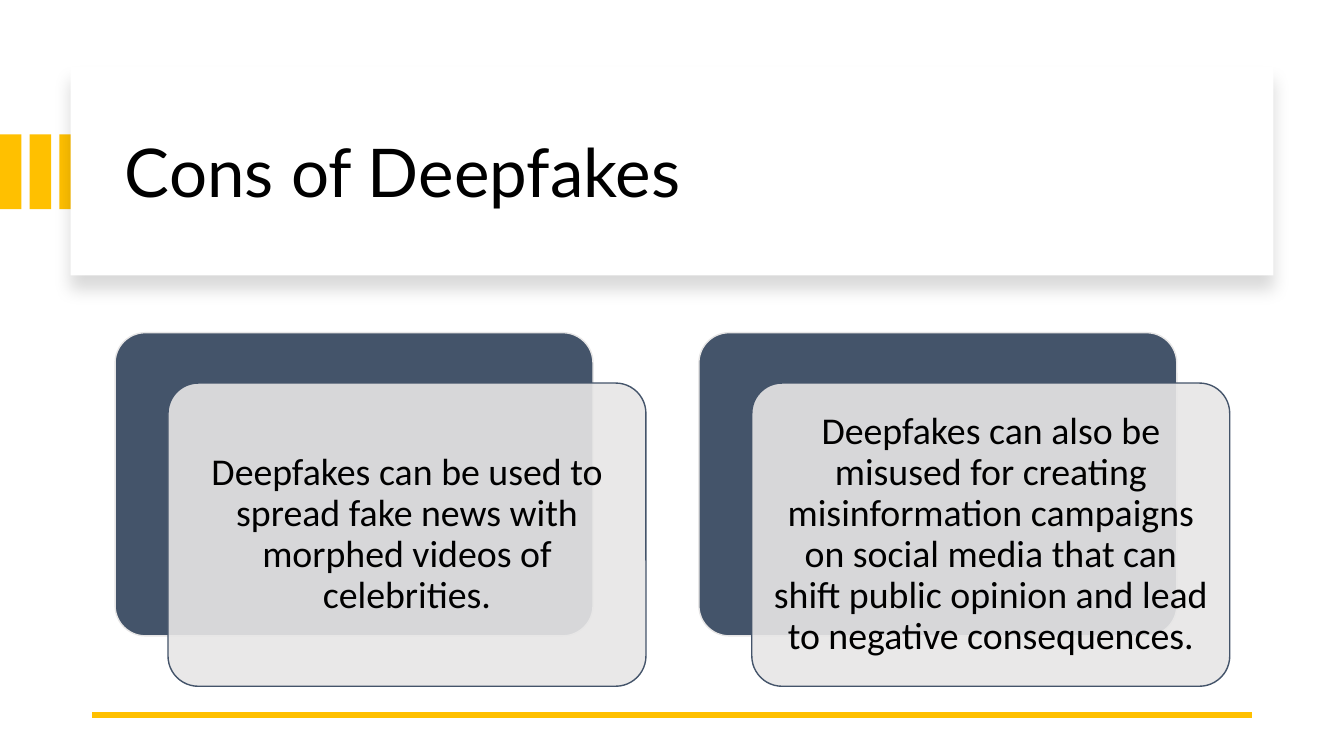
"""Build the slide on the cons of deepfakes."""
from lxml.etree import SubElement
from pptx import Presentation
from pptx.dml.color import RGBColor
from pptx.enum.shapes import MSO_CONNECTOR, MSO_SHAPE
from pptx.enum.text import MSO_ANCHOR, PP_ALIGN
from pptx.oxml import parse_xml
from pptx.oxml.ns import nsdecls, qn
from pptx.util import Inches, Pt

GOLD = RGBColor(0xFF, 0xC0, 0x00)
NAVY = RGBColor(0x44, 0x54, 0x6A)
PALE = RGBColor(0xE7, 0xE6, 0xE6)
WHITE = RGBColor(0xFF, 0xFF, 0xFF)
BLACK = RGBColor(0x00, 0x00, 0x00)

COLS, ROWS = 160, 90
CARD_W, CARD_H = 56.9, 36.1
SHADOW = (
    f'<a:effectLst {nsdecls("a")}>'
    '<a:outerShdw blurRad="139700" dist="127000" dir="5400000" algn="t" rotWithShape="0">'
    '<a:srgbClr val="000000"><a:alpha val="15000"/></a:srgbClr>'
    '</a:outerShdw></a:effectLst>'
)
CONS = (
    "Deepfakes can be used to spread fake news with morphed videos of celebrities.",
    "Deepfakes can also be misused for creating misinformation campaigns on social "
    "media that can shift public opinion and lead to negative consequences.",
)


class SlideBuilder:
    def __init__(self, prs):
        self.col = prs.slide_width / COLS
        self.row = prs.slide_height / ROWS
        self.shapes = prs.slides.add_slide(prs.slide_layouts[6]).shapes

    def at(self, x, y, w, h):
        return (round(x * self.col), round(y * self.row),
                round(w * self.col), round(h * self.row))

    def box(self, x, y, w, h, fill, line=None, kind=MSO_SHAPE.RECTANGLE):
        sp = self.shapes.add_shape(kind, *self.at(x, y, w, h))
        sp.shadow.inherit = False
        sp.fill.solid()
        sp.fill.fore_color.rgb = fill
        if line is None:
            sp.line.fill.background()
        else:
            sp.line.color.rgb = line
            sp.line.width = Pt(1)
        return sp

    def panel(self, x, y, w, h):
        sp = self.box(x, y, w, h, WHITE)
        pr = sp._element.spPr
        pr.replace(pr.find(qn("a:effectLst")), parse_xml(SHADOW))

    def round_box(self, x, y, fill, line, alpha=None):
        sp = self.box(x, y, CARD_W, CARD_H, fill, line, MSO_SHAPE.ROUNDED_RECTANGLE)
        sp.adjustments[0] = 0.1
        if alpha is not None:
            clr = sp._element.spPr.find(qn("a:solidFill"))[0]
            SubElement(clr, qn("a:alpha")).set("val", str(alpha * 1000))

    def text(self, x, y, w, h, text, font, size, align=PP_ALIGN.LEFT, inset=None):
        tf = self.shapes.add_textbox(*self.at(x, y, w, h)).text_frame
        tf.word_wrap = True
        tf.vertical_anchor = MSO_ANCHOR.MIDDLE
        if inset is not None:
            tf.margin_left = tf.margin_right = Inches(inset)
            tf.margin_top = tf.margin_bottom = Inches(inset)
        p = tf.paragraphs[0]
        p.alignment = align
        p.line_spacing = 0.9
        r = p.add_run()
        r.text = text
        r.font.name = font
        r.font.size = Pt(size)
        r.font.color.rgb = BLACK

    def rule(self, x1, x2, y):
        x, y, w, _ = self.at(x1, y, x2 - x1, 0)
        cx = self.shapes.add_connector(MSO_CONNECTOR.STRAIGHT, x, y, x + w, y)
        cx.line.color.rgb = GOLD
        cx.line.width = Pt(4.5)
        SubElement(cx._element.spPr, qn("a:effectLst"))

    def card(self, x, y, text):
        self.round_box(x, y, NAVY, PALE)
        x, y = x + 6.3, y + 6
        self.round_box(x, y, PALE, NAVY, alpha=90)
        pad = 1.1
        self.text(x + pad, y + pad, CARD_W - 2 * pad, CARD_H - 2 * pad, text,
                  "Calibri", 27, PP_ALIGN.CENTER, 0.11)


def main():
    prs = Presentation()
    prs.slide_width, prs.slide_height = Inches(13.33), Inches(7.5)
    s = SlideBuilder(prs)
    for i in range(3):
        s.box(i * 3.54, 16, 2.55, 8.9, GOLD)
    s.panel(8.4, 8, 143.2, 24.8)
    s.text(13.7, 10.7, 133.6, 20.4, "Cons of Deepfakes", "Lato", 48)
    s.rule(149, 11, 85.1)
    for i, con in enumerate(CONS):
        s.card(13.7 + i * 69.5, 39.6, con)
    prs.save("out.pptx")


if __name__ == "__main__":
    main()
